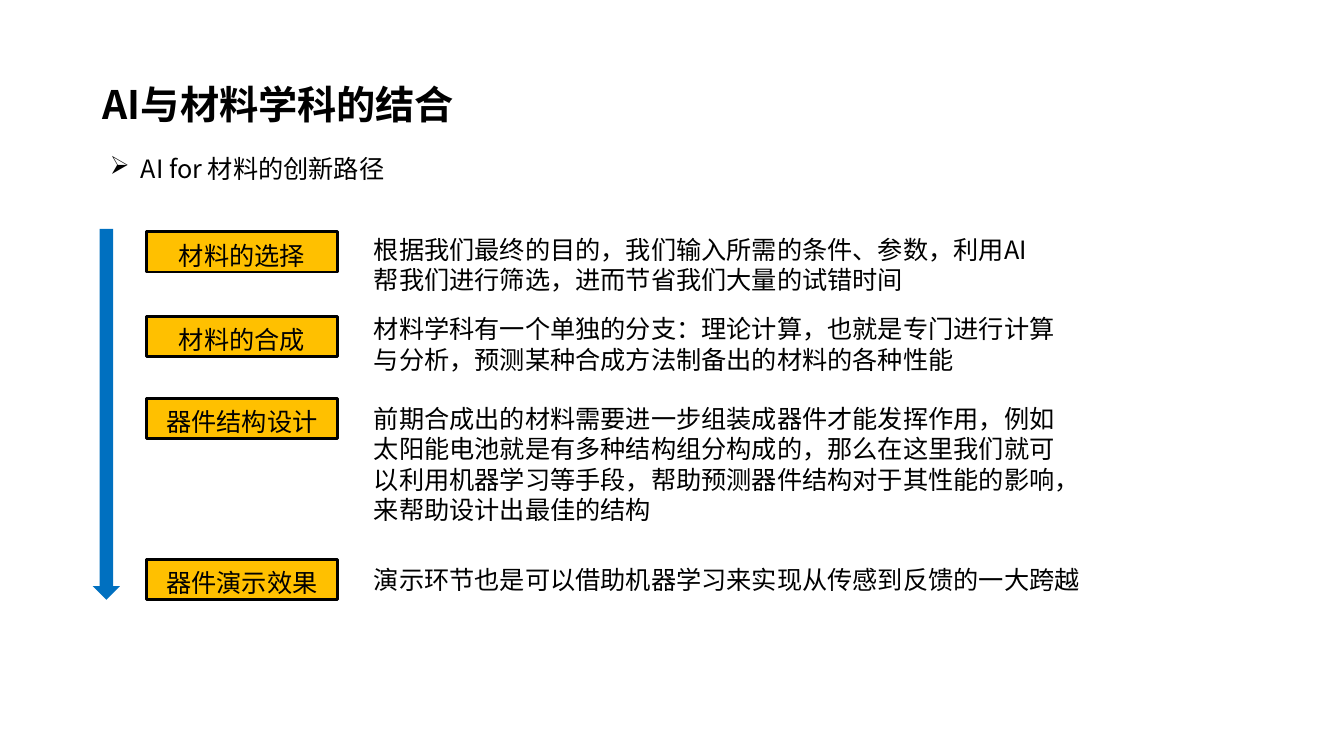
from pptx import Presentation
from pptx.dml.color import RGBColor
from pptx.enum.shapes import MSO_SHAPE
from pptx.enum.text import MSO_ANCHOR, PP_ALIGN
from pptx.oxml.ns import qn
from pptx.util import Inches, Pt
from lxml import etree

RECT, DOWN_ARROW = MSO_SHAPE.RECTANGLE, MSO_SHAPE.DOWN_ARROW
TOP, MIDDLE = MSO_ANCHOR.TOP, MSO_ANCHOR.MIDDLE
LEFT, CENTER = PP_ALIGN.LEFT, PP_ALIGN.CENTER
BLACK = RGBColor(0x00, 0x00, 0x00)
AMBER = RGBColor(0xFF, 0xC0, 0x00)
BLUE = RGBColor(0x00, 0x70, 0xC0)
FONT = "Noto Sans CJK SC"

STEPS = [
    (2.3, "材料的选择", 2.27, 6.83, 0.71,
     "根据我们最终的目的，我们输入所需的条件、参数，利用AI帮我们进行筛选，"
     "进而节省我们大量的试错时间"),
    (3.14, "材料的合成", 3.06, 6.97, 0.71,
     "材料学科有一个单独的分支：理论计算，也就是专门进行计算与分析，"
     "预测某种合成方法制备出的材料的各种性能"),
    (3.95, "器件结构设计", 3.95, 7.06, 1.31,
     "前期合成出的材料需要进一步组装成器件才能发挥作用，"
     "例如太阳能电池就是有多种结构组分构成的，"
     "那么在这里我们就可以利用机器学习等手段，"
     "帮助预测器件结构对于其性能的影响，来帮助设计出最佳的结构"),
    (5.55, "器件演示效果", 5.55, 7.53, 0.4,
     "演示环节也是可以借助机器学习来实现从传感到反馈的一大跨越"),
]


def write(s, text, size=18, bold=False, align=LEFT, anchor=TOP, spacing=Pt(21.7)):
    tf = s.text_frame
    tf.word_wrap = True
    tf.vertical_anchor = anchor
    p = tf.paragraphs[0]
    p.text = text
    p.alignment = align
    p.line_spacing = spacing
    p.font.name = FONT
    p.font.size = Pt(size)
    p.font.bold = bold
    p.font.color.rgb = BLACK
    latin = p._p.pPr.find(qn("a:defRPr")).find(qn("a:latin"))
    east_asian = etree.Element(qn("a:ea"), typeface=FONT)
    latin.addnext(east_asian)
    return p


def add_title(slide, text):
    s = slide.shapes.title
    s.left, s.top = Inches(0.92), Inches(0.76)
    s.width, s.height = Inches(7.37), Inches(0.54)
    write(s, text, size=28, bold=True, anchor=MIDDLE, spacing=Pt(34))


def add_text(slide, left, top, width, height, text):
    s = slide.shapes.add_textbox(Inches(left), Inches(top), Inches(width), Inches(height))
    return write(s, text)


def add_bullet(p, char):
    pPr = p._p.get_or_add_pPr()
    pPr.set("marL", str(Inches(0.31)))
    pPr.set("indent", str(Inches(-0.31)))
    bullet = etree.Element(qn("a:buChar"), char=char)
    pPr.find(qn("a:defRPr")).addprevious(bullet)


def add_filled(slide, preset, left, top, width, height, color):
    s = slide.shapes.add_shape(preset, Inches(left), Inches(top), Inches(width), Inches(height))
    s.shadow.inherit = False
    s.fill.solid()
    s.fill.fore_color.rgb = color
    s.line.fill.background()
    return s


def add_label(slide, top, text):
    s = add_filled(slide, RECT, 1.45, top, 1.9, 0.4, AMBER)
    s.line.color.rgb = BLACK
    s.line.width = Pt(2)
    write(s, text, align=CENTER, anchor=MIDDLE, spacing=1.2)


def main():
    prs = Presentation()
    prs.slide_width, prs.slide_height = Inches(13.33), Inches(7.5)
    slide = prs.slides.add_slide(prs.slide_layouts[5])
    add_title(slide, "AI与材料学科的结合")
    subtitle = add_text(slide, 0.99, 1.47, 5.58, 0.4, "AI for 材料的创新路径")
    add_bullet(subtitle, "➢")
    add_filled(slide, DOWN_ARROW, 0.92, 2.27, 0.27, 3.68, BLUE)
    for label_top, label, top, width, height, text in STEPS:
        add_label(slide, label_top, label)
        add_text(slide, 3.61, top, width, height, text)
    prs.save("out.pptx")


if __name__ == "__main__":
    main()
